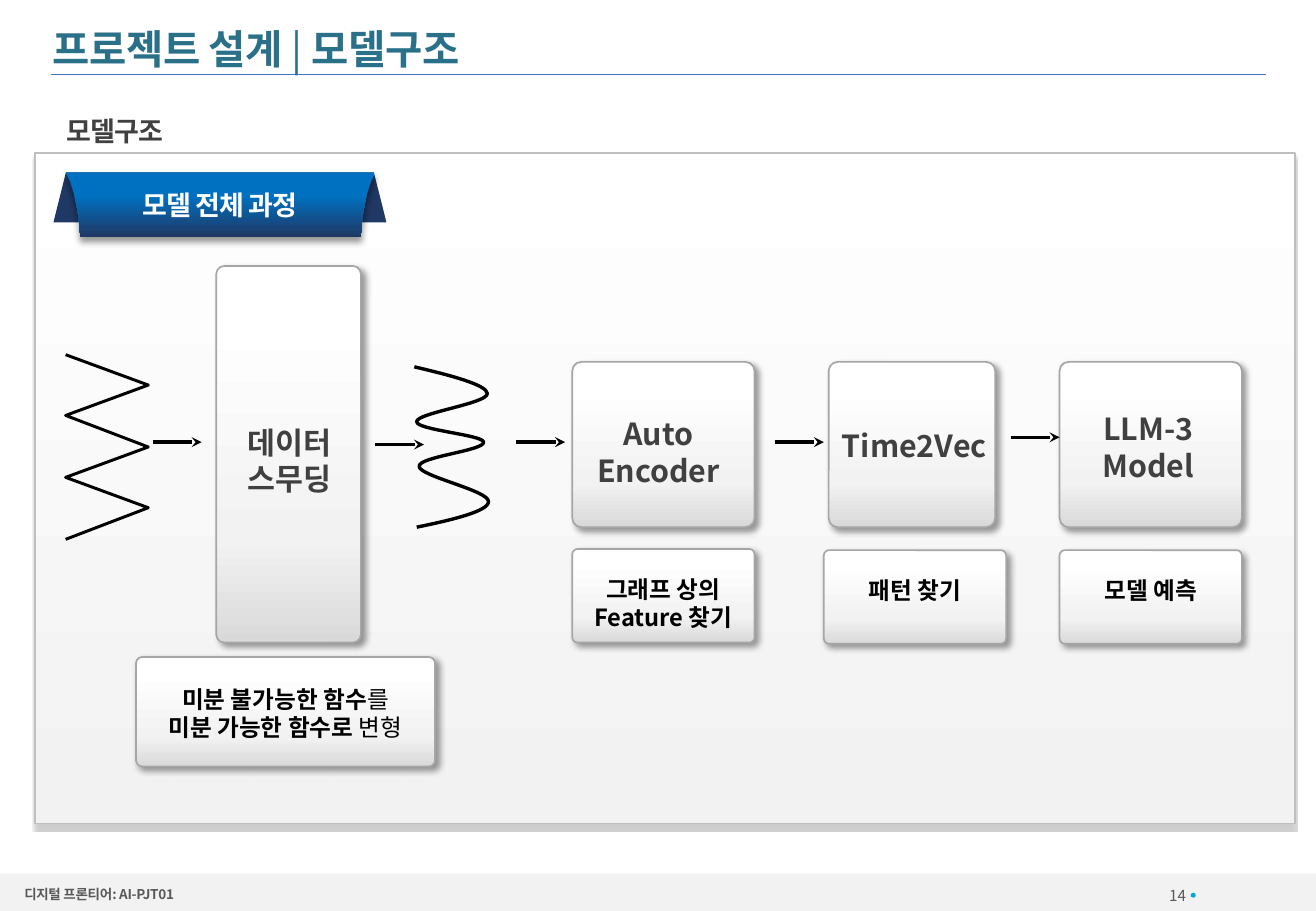
"""Build the model structure slide: a left-to-right pipeline of rounded cards."""
from dataclasses import dataclass

from lxml import etree
from pptx import Presentation
from pptx import util as u
from pptx.dml.color import RGBColor
from pptx.enum import shapes, text
from pptx.oxml.ns import qn

PX = 9144


@dataclass(frozen=True)
class Theme:
    font: str = "Noto Sans CJK KR"
    title: str = "2B7089"
    dark: str = "404040"
    muted: str = "595959"
    ink: str = "000000"
    white: str = "FFFFFF"
    rule: str = "4472C4"
    dot: str = "00A3DF"
    band: str = "F2F2F2"
    panel_edge: str = "BFBFBF"
    card_edge: str = "A6A6A6"
    fold: str = "203864"
    panel: tuple = ((0, "FFFFFF"), (100, "F2F2F2"))
    card: tuple = ((0, "FFFFFF"), (14, "FFFFFF"), (73, "F2F2F2"), (100, "D9D9D9"))
    ribbon: tuple = ((0, "0070C0"), (37, "0070C0"), (100, "203864"))
    title_size: int = 24
    step_size: int = 18
    head_size: int = 16
    note_size: int = 14
    number_size: int = 9
    footer_size: int = 8


THEME = Theme()


def px(*lengths):
    return [u.Emu(length * PX) for length in lengths]


def add_node(parent, tag, **attributes):
    node = etree.SubElement(parent, qn(tag))
    for name, value in attributes.items():
        node.set(name, str(value))
    return node


def paint(shape, fill=None, line=None, weight=1, shadow=None):
    """Set fill (colour or vertical gradient stops), outline and shadow."""
    if fill is None:
        shape.fill.background()
    elif isinstance(fill, str):
        shape.fill.solid()
        shape.fill.fore_color.rgb = RGBColor.from_string(fill)
    else:
        shape.fill.gradient()
        shape.fill.gradient_angle = 270
        stops = shape._element.spPr.find(qn("a:gradFill")).find(qn("a:gsLst"))
        for stop in list(stops):
            stops.remove(stop)
        for position, colour in fill:
            stop = add_node(stops, "a:gs", pos=position * 1000)
            add_node(stop, "a:srgbClr", val=colour)
    if line:
        shape.line.color.rgb = RGBColor.from_string(line)
        shape.line.width = u.Pt(weight)
    else:
        shape.line.fill.background()
    shape.shadow.inherit = False
    if shadow:
        alpha, blur, distance, angle = shadow
        effects = shape._element.spPr.find(qn("a:effectLst"))
        outer = add_node(effects, "a:outerShdw", blurRad=u.Pt(blur), dist=u.Pt(distance),
                         dir=angle * 60000, algn="tl", rotWithShape=0)
        add_node(add_node(outer, "a:srgbClr", val=THEME.ink), "a:alpha", val=alpha * 1000)
    return shape


def write(box, lines, *, size, color, bold=True, align="CENTER", spacing=0, nudge=(0, 0), wrap=True):
    """Write lines, each a string or a list of (string, bold) spans."""
    frame = box.text_frame
    frame.word_wrap = wrap
    frame.vertical_anchor = text.MSO_ANCHOR.MIDDLE
    across, down = nudge
    frame.margin_left, frame.margin_right, frame.margin_top, frame.margin_bottom = px(
        *(max(2 * shift, 0) for shift in (across, -across, down, -down)))
    for index, line in enumerate(lines):
        para = frame.add_paragraph() if index else frame.paragraphs[0]
        para.alignment = text.PP_ALIGN[align]
        for content, weight in [(line, bold)] if isinstance(line, str) else line:
            span = para.add_run()
            span.text = content
            span.font.size = u.Pt(size)
            span.font.bold = weight
            span.font.name = THEME.font
            span.font.color.rgb = RGBColor.from_string(color)
            properties = span.font._element
            add_node(properties, "a:ea", typeface=THEME.font)
            if spacing:
                properties.set("spc", str(spacing))


def add_label(page, place, line, **style):
    write(page.shapes.add_textbox(*px(*place)), [line], **style)


def add_block(page, kind, place, **look):
    return paint(page.shapes.add_shape(shapes.MSO_SHAPE[kind], *px(*place)), **look)


def add_card(page, place, lines, **style):
    card = add_block(page, "ROUNDED_RECTANGLE", place, fill=THEME.card,
                     line=THEME.card_edge, shadow=(40, 4, 3, 45))
    card.adjustments[0] = 0.055
    write(card, lines, **style)


def add_line(page, start, end, color, weight, arrow=False):
    line = page.shapes.add_connector(shapes.MSO_CONNECTOR.STRAIGHT, *px(*start, *end))
    line.line.color.rgb = RGBColor.from_string(color)
    line.line.width = u.Pt(weight)
    if arrow:
        add_node(line.line._get_or_add_ln(), "a:tailEnd", type="stealth")
    add_node(line._element.spPr, "a:effectLst")


def add_outline(page, start, steps, close=False, **look):
    """Draw steps of one point (straight) or three points (cubic curve)."""
    builder = page.shapes.build_freeform(*start, scale=PX)
    builder.add_line_segments([point for step in steps for point in step], close=close)
    shape = builder.convert_to_shape()
    segments = iter(list(shape._element.iter(qn("a:lnTo"))))
    for step in steps:
        first, *others = [next(segments) for _ in step]
        if others:
            curve = etree.Element(qn("a:cubicBezTo"))
            first.addprevious(curve)
            for segment in (first, *others):
                curve.append(segment[0])
                segment.getparent().remove(segment)
    return paint(shape, **look)


def add_frame(page):
    add_block(page, "RECTANGLE", (0, 719, 1083, 31), fill=THEME.band)
    add_block(page, "OVAL", (980, 735, 4, 4), fill=THEME.dot)
    add_label(page, (906, 727, 70, 20), "14", size=THEME.number_size,
              color=THEME.muted, bold=False, align="RIGHT")
    add_label(page, (20, 730, 444, 13), "디지털 프론티어: AI-PJT01", size=THEME.footer_size,
              color=THEME.muted, align="LEFT", spacing=-20)
    add_line(page, (42, 61), (1042, 61), THEME.rule, 0.5)
    add_label(page, (43, 18, 999, 44), [("프로젝트 설계 ", True), ("| ", False), ("모델구조", True)],
              size=THEME.title_size, color=THEME.title, align="LEFT", spacing=-20, wrap=False)
    add_label(page, (55, 89, 697, 37), "모델구조", size=THEME.head_size,
              color=THEME.dark, align="LEFT", spacing=-50)
    add_block(page, "RECTANGLE", (29, 126, 1037, 552), fill=THEME.panel,
              line=THEME.panel_edge, shadow=(20, 1, 3, 90))


def add_ribbon(page):
    add_block(page, "TRAPEZOID", (44, 142, 274, 41), fill=THEME.fold)
    front = add_outline(
        page, (54, 142),
        [[(308, 142)], [(308, 144)], [(306, 148)], [(301, 161), (298, 176), (297, 193)],
         [(297, 195)], [(66, 195)], [(66, 193)], [(65, 176), (62, 161), (57, 148)]],
        close=True, fill=THEME.ribbon, shadow=(40, 4, 3, 90))
    write(front, ["모델 전체 과정"], size=THEME.head_size, color=THEME.white, spacing=-50)


def add_signals(page):
    zigzag = [(122 if turn % 2 else 54, 292 + 152 * turn // 6) for turn in range(7)]
    add_outline(page, zigzag[0], [[point] for point in zigzag[1:]], line=THEME.ink, weight=1.75)
    add_outline(
        page, (341, 302),
        [[(371, 309), (401, 317), (401, 324)], [(402, 332), (343, 340), (343, 347)],
         [(342, 354), (398, 358), (398, 364)], [(399, 371), (344, 376), (345, 384)],
         [(345, 392), (403, 404), (402, 413)], [(402, 421), (372, 428), (343, 434)]],
        line=THEME.ink, weight=2)


def main():
    deck = Presentation()
    deck.slide_width, deck.slide_height = px(1083, 750)
    page = deck.slides.add_slide(deck.slide_layouts[6])
    add_frame(page)
    add_ribbon(page)
    for place, lines, nudge in (
            ((178, 219, 119, 310), ["데이터", "스무딩"], (1, 5)),
            ((471, 298, 150, 136), ["Auto", "Encoder"], (-4, 6)),
            ((682, 298, 137, 136), ["Time2Vec"], (2, 1)),
            ((872, 298, 150, 136), ["LLM-3", "Model"], (-2, 2))):
        add_card(page, place, lines, size=THEME.step_size, color=THEME.dark, nudge=nudge)
    for place, lines, nudge in (
            ((112, 541, 246, 90), [[("미분 불가능한 함수", True), ("를", False)],
                                   [("미분 가능한 함수로 ", True), ("변형", False)]], (0, 1)),
            ((471, 452, 150, 77), ["그래프 상의", "Feature 찾기"], (0, 6)),
            ((678, 453, 150, 77), ["패턴 찾기"], (0, -6)),
            ((872, 453, 150, 77), ["모델 예측"], (0, -6))):
        add_card(page, place, lines, size=THEME.note_size, color=THEME.ink, nudge=nudge)
    add_signals(page)
    for left, level in ((126, 364), (309, 366), (425, 364), (638, 364), (832, 360)):
        add_line(page, (left, level), (left + 40, level), THEME.ink, 2, arrow=True)
    deck.save("out.pptx")


if __name__ == "__main__":
    main()
